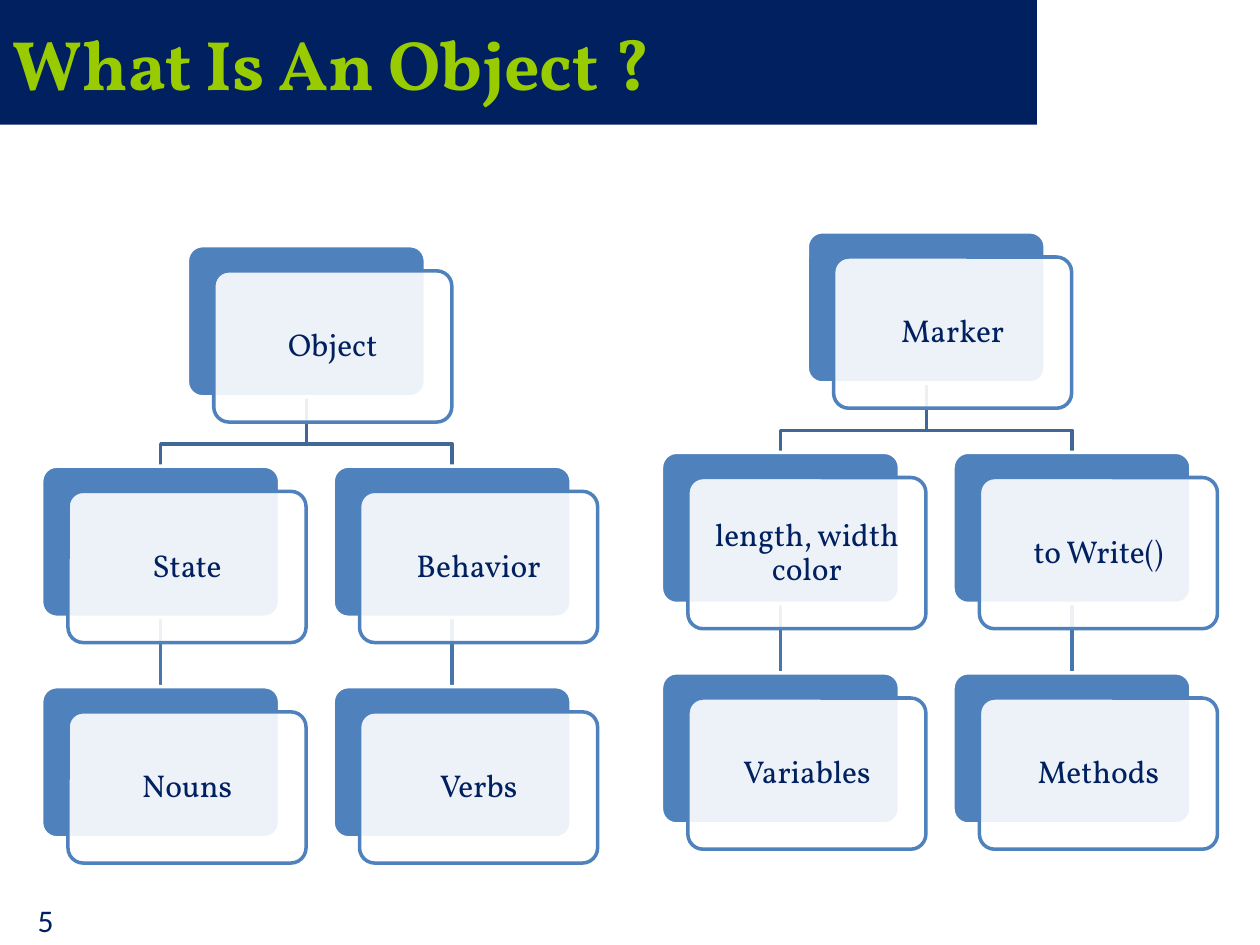
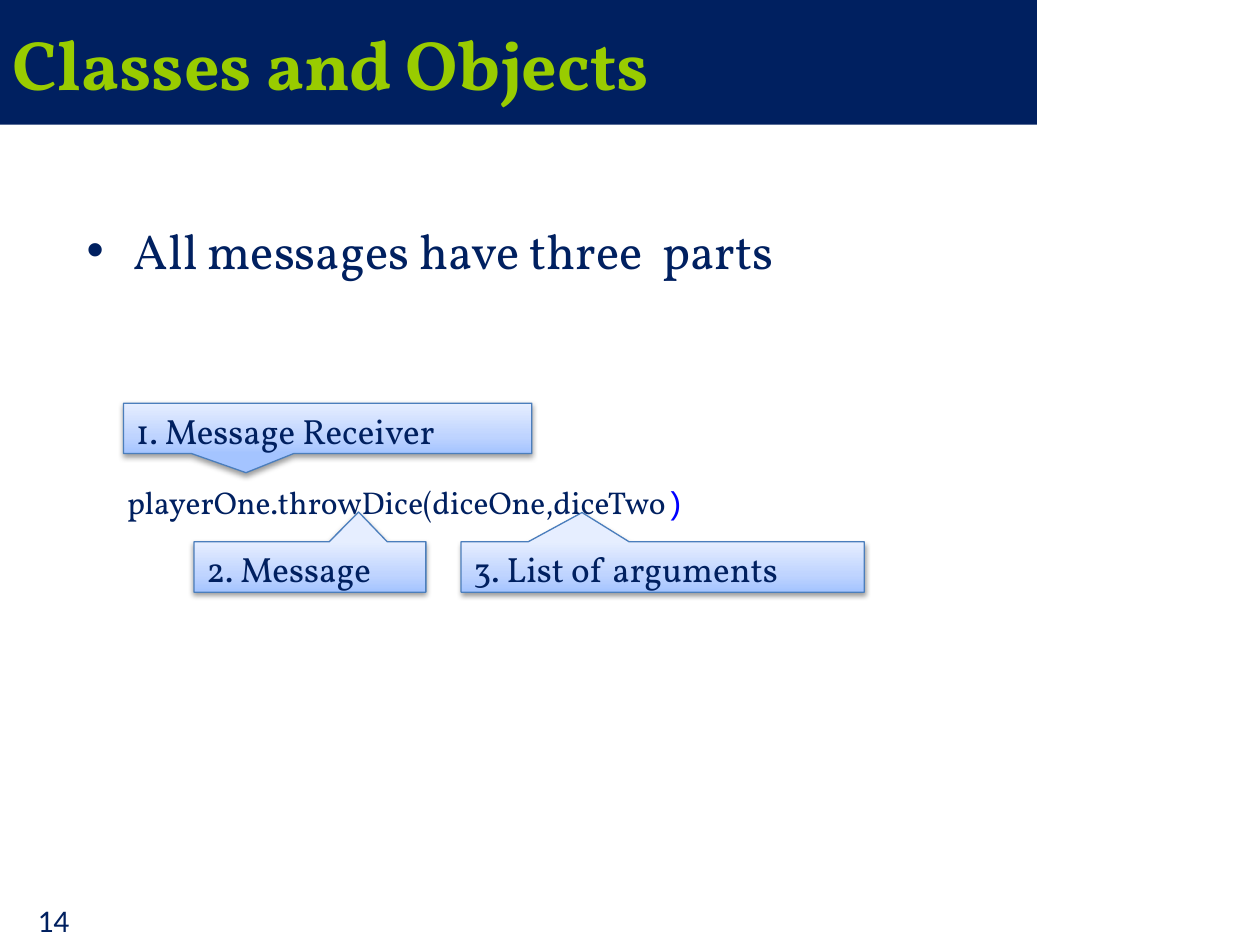
"""Build two slides on objects: paired concept trees and the parts of a message."""
from lxml.etree import SubElement
from pptx import Presentation
from pptx.dml.color import RGBColor
from pptx.enum.shapes import MSO_CONNECTOR, MSO_SHAPE as SHAPE
from pptx.enum.text import MSO_ANCHOR as ANCHOR, PP_ALIGN as ALIGN
from pptx.oxml.ns import qn
from pptx.util import Pt

NAVY = RGBColor(0x00, 0x20, 0x60)
LIME = RGBColor(0x99, 0xCC, 0x00)
WHITE = RGBColor(0xFF, 0xFF, 0xFF)
BLUE = RGBColor(0x4F, 0x81, 0xBD)
BRANCH = RGBColor(0x3F, 0x67, 0x97)
STEM = RGBColor(0x48, 0x75, 0xAC)
EDGE = RGBColor(0x4B, 0x7E, 0xBC)
CODE_BLUE = RGBColor(0x00, 0x00, 0xFF)
SHADES = [(0, "A4C4FF"), (35, "BFD4FF"), (100, "E6EEFF")]
FONT = "Vollkorn"

TREES = [
    {"at": (23.8, 140.4), "root": "Object",
     "columns": [("State", "Nouns"), ("Behavior", "Verbs")]},
    {"at": (378, 132.5), "root": "Marker",
     "columns": [("length, width color", "Variables"), ("to Write()", "Methods")]},
]
CARD_W, CARD_H = 136, 86.4
COLUMN_STEP, ROW_STEP = 166.6, 126
FRONT_DX, FRONT_DY = 15.1, 14.4
ELBOW_DROP = 27

BULLET = "All messages have three  parts"
CODE = [("playerOne.throwDice(diceOne,diceTwo", FONT, NAVY), (")", "Courier New", CODE_BLUE)]
CALLOUTS = [
    ("1. Message Receiver", 70.6, 230.4, 233.3, (-0.2, 0.88)),
    ("2. Message", 110.9, 309.6, 132.5, (0.21, -1.09)),
    ("3. List of arguments", 263.5, 309.6, 230.4, (-0.2, -1.08)),
]
CALLOUT_H = 28.8


def style(r, size, color=NAVY, font=FONT, bold=False):
    r.font.size, r.font.name, r.font.bold = Pt(size), font, bold
    r.font.color.rgb = color


def write(s, text, size, align=ALIGN.LEFT, anchor=ANCHOR.TOP, **look):
    tf = s.text_frame
    tf.word_wrap = True
    tf.vertical_anchor = anchor
    tf.text = text
    p = tf.paragraphs[0]
    p.alignment = align
    style(p.runs[0], size, **look)
    return p


def add_text(slide, x, y, w, h, text, size, **look):
    s = slide.shapes.add_textbox(Pt(x), Pt(y), Pt(w), Pt(h))
    return write(s, text, size, **look)


def add_slide(prs, title, number):
    slide = prs.slides.add_slide(prs.slide_layouts[5])
    s = slide.shapes.title
    s.left, s.top, s.width, s.height = Pt(0), Pt(0), Pt(592.5), Pt(71.3)
    s.fill.solid()
    s.fill.fore_color.rgb = NAVY
    write(s, title, 40, anchor=ANCHOR.MIDDLE, color=LIME, bold=True)
    add_text(slide, 14.4, 511.2, 45.4, 28.8, number, 18, font="Calibri")
    return slide


def add_plate(shapes, x, y, fill, line):
    s = shapes.add_shape(SHAPE.ROUNDED_RECTANGLE, Pt(x), Pt(y), Pt(CARD_W), Pt(CARD_H))
    s.shadow.inherit = False
    s.adjustments[0] = 0.1
    s.fill.solid()
    s.fill.fore_color.rgb = fill
    s.line.color.rgb, s.line.width = line, Pt(2)
    return s


def add_card(shapes, x, y, text):
    add_plate(shapes, x, y, BLUE, WHITE)
    s = add_plate(shapes, x + FRONT_DX, y + FRONT_DY, WHITE, BLUE)
    color = s.fill._xPr.find(qn("a:solidFill"))[0]
    SubElement(color, qn("a:alpha"), val="90000")
    tf = s.text_frame
    tf.margin_left = tf.margin_right = tf.margin_top = tf.margin_bottom = Pt(5)
    write(s, text, 18, align=ALIGN.CENTER, anchor=ANCHOR.MIDDLE).line_spacing = 0.9


def add_branch(shapes, x1, y1, x2, y2):
    bend = y1 + ELBOW_DROP
    builder = shapes.build_freeform(Pt(x1), Pt(y1))
    points = [(x1, bend), (x2, bend), (x2, y2)]
    builder.add_line_segments([(Pt(x), Pt(y)) for x, y in points], close=False)
    s = builder.convert_to_shape()
    s.shadow.inherit = False
    s.fill.background()
    s.line.color.rgb, s.line.width = BRANCH, Pt(2)


def add_stem(shapes, x, y1, y2):
    s = shapes.add_connector(MSO_CONNECTOR.STRAIGHT, Pt(x), Pt(y1), Pt(x), Pt(y2))
    s.line.color.rgb, s.line.width = STEM, Pt(2)
    SubElement(s._element.spPr, qn("a:effectLst"))


def add_tree(slide, tree):
    shapes = slide.shapes.add_group_shape().shapes
    left, top = tree["at"]
    root_x = left + COLUMN_STEP / 2
    rows = [top + i * ROW_STEP for i in range(3)]
    cards = [(root_x, top, tree["root"])]
    for i, column in enumerate(tree["columns"]):
        x = left + i * COLUMN_STEP
        mid = x + CARD_W / 2
        add_stem(shapes, mid, rows[1] + CARD_H, rows[2])
        add_branch(shapes, root_x + CARD_W / 2, top + CARD_H, mid, rows[1])
        cards += [(x, y, text) for y, text in zip(rows[1:], column)]
    for card in cards:
        add_card(shapes, *card)


def add_callout(slide, text, x, y, w, tip):
    s = slide.shapes.add_shape(SHAPE.RECTANGULAR_CALLOUT, Pt(x), Pt(y), Pt(w), Pt(CALLOUT_H))
    s.adjustments[0], s.adjustments[1] = tip
    s.fill.gradient()
    s.fill.gradient_angle = 90
    s.line.color.rgb, s.line.width = EDGE, Pt(0.75)
    s.shadow.inherit = False
    spPr = s._element.spPr
    stops = spPr.find(qn("a:gradFill")).find(qn("a:gsLst"))
    for stop in list(stops):
        stops.remove(stop)
    for pos, shade in SHADES:
        stop = SubElement(stops, qn("a:gs"), pos=str(pos * 1000))
        SubElement(stop, qn("a:srgbClr"), val=shade)
    shadow = SubElement(spPr.find(qn("a:effectLst")), qn("a:outerShdw"), blurRad=str(Pt(3.1)),
                        dist=str(Pt(1.6)), dir="5400000", rotWithShape="0")
    color = SubElement(shadow, qn("a:srgbClr"), val="000000")
    SubElement(color, qn("a:alpha"), val="38000")
    write(s, text, 20)


def add_bullet(slide):
    p = add_text(slide, 42.5, 122.4, 648, 51.1, BULLET, 28)
    p.space_before = Pt(5.6)
    pPr = p._p.get_or_add_pPr()
    pPr.set("marL", str(Pt(27)))
    pPr.set("indent", str(Pt(-27)))
    SubElement(pPr, qn("a:buFont"), typeface="Arial")
    SubElement(pPr, qn("a:buChar"), char="•")


def add_code(slide):
    (text, font, color), (end, end_font, end_color) = CODE
    p = add_text(slide, 65.5, 264.2, 442, 37.4, text, 18, align=ALIGN.JUSTIFY,
                 font=font, color=color)
    p.line_spacing = Pt(30)
    r = p.add_run()
    r.text = end
    style(r, 18, end_color, end_font)


def main():
    prs = Presentation()
    prs.slide_width, prs.slide_height = Pt(720), Pt(540)
    slide = add_slide(prs, "What Is An Object ?", "5")
    for tree in TREES:
        add_tree(slide, tree)
    slide = add_slide(prs, "Classes and Objects", "14")
    add_bullet(slide)
    for callout in CALLOUTS:
        add_callout(slide, *callout)
    add_code(slide)
    prs.save("out.pptx")


if __name__ == "__main__":
    main()
